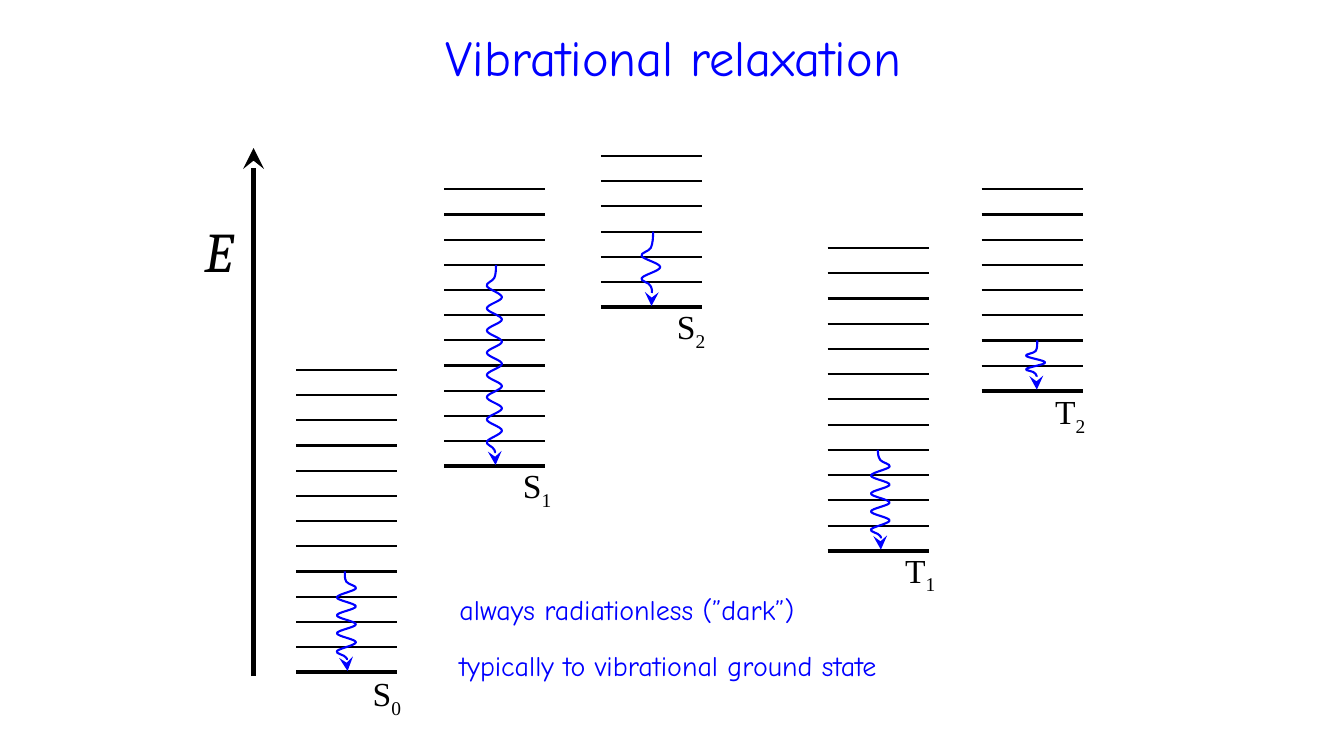
from dataclasses import dataclass

from lxml import etree
from pptx import Presentation
from pptx import util as u
from pptx.dml.color import RGBColor
from pptx.enum import shapes, text
from pptx.oxml.ns import qn


@dataclass(frozen=True)
class Theme:
    ink: RGBColor = RGBColor(0x00, 0x00, 0x00)
    accent: RGBColor = RGBColor(0x00, 0x00, 0xFF)
    sans: str = "Comic Neue"
    serif: str = "Times New Roman"
    symbol: str = "Cambria"
    title: int = 36
    axis: int = 40
    label: int = 24
    note: int = 20
    thick: float = 3
    thin: float = 1.5


@dataclass(frozen=True)
class Wave:
    """Wavy arrow: x positions, then heights of first and last swing."""
    start: float
    left: float
    right: float
    tip: float
    first: float
    last: float
    swings: int


@dataclass(frozen=True)
class State:
    """Ladder of levels, its label and the level where relaxation begins."""
    name: str
    left: float
    bottom: float
    top: float
    gaps: int
    label: tuple
    excited: int
    wave: Wave


STATES = [
    State("S0", 7.47, 16.94, 9.32, 12, (9.14, 16.84), 4,
          Wave(8.69, 8.49, 8.97, 8.76, 14.83, 16.41, 8)),
    State("S1", 11.19, 11.75, 4.77, 11, (12.93, 11.6), 8,
          Wave(12.5, 12.27, 12.65, 12.49, 7.21, 11.13, 15)),
    State("S2", 15.14, 7.74, 3.93, 6, (16.81, 7.59), 3,
          Wave(16.46, 16.17, 16.64, 16.42, 6.45, 7.01, 3)),
    State("T1", 20.86, 13.88, 6.25, 12, (22.56, 13.72), 4,
          Wave(22.12, 21.95, 22.42, 22.2, 11.76, 13.34, 8)),
    State("T2", 24.74, 9.85, 4.77, 8, (26.34, 9.73), 2,
          Wave(26.14, 25.86, 26.34, 26.13, 8.97, 9.3, 3)),
]
LEVEL_WIDTH = 2.54


class Diagram:
    def __init__(self, s, theme):
        self.s = s
        self.theme = theme

    def stroke(self, sp, color, width, arrow=False):
        sp.line.color.rgb = color
        sp.line.width = u.Pt(width)
        if arrow:
            ln = sp._element.spPr.find(qn("a:ln"))
            etree.SubElement(ln, qn("a:tailEnd"), type="stealth", w="lg", len="lg")

    def line(self, x1, y1, x2, y2, width, arrow=False):
        sp = self.s.shapes.add_connector(
            shapes.MSO_CONNECTOR.STRAIGHT, u.Cm(x1), u.Cm(y1), u.Cm(x2), u.Cm(y2))
        self.stroke(sp, self.theme.ink, width, arrow)
        etree.SubElement(sp._element.spPr, qn("a:effectLst"))

    def text(self, words, x, y, w, h, size, font, color,
             wrap=False, italic=False, align=text.PP_ALIGN.LEFT):
        sp = self.s.shapes.add_textbox(u.Cm(x), u.Cm(y), u.Cm(w), u.Cm(h))
        tf = sp.text_frame
        tf.text = words
        tf.word_wrap = wrap
        tf.auto_size = text.MSO_AUTO_SIZE.SHAPE_TO_FIT_TEXT
        p = tf.paragraphs[0]
        p.alignment = align
        self.format(p.runs[0], size, font, color, italic)
        return p

    def format(self, r, size, font, color, italic=False):
        r.font.size = u.Pt(size)
        r.font.name = font
        r.font.color.rgb = color
        r.font.italic = italic

    def state_label(self, name, x, y):
        t = self.theme
        p = self.text(name[0], x, y, 1.28, 1.28, t.label, t.serif, t.ink)
        r = p.add_run()
        r.text = name[1]
        self.format(r, t.label, t.serif, t.ink)
        r._r.get_or_add_rPr().set("baseline", "-25000")

    def ladder(self, state):
        pitch = (state.bottom - state.top) / state.gaps
        for i in range(state.gaps + 1):
            y = state.bottom - i * pitch
            width = self.theme.thin if i else self.theme.thick
            self.line(state.left, y, state.left + LEVEL_WIDTH, y, width)

    def wavy_arrow(self, state):
        w = state.wave
        pitch = (w.last - w.first) / (w.swings - 1)
        middle = (w.left + w.right) / 2
        level = state.bottom - state.excited * (state.bottom - state.top) / state.gaps
        # Turning points; the last swing is always to the left
        turns = [(w.start, level), (middle, w.first - 0.75 * pitch)]
        for i in range(w.swings):
            x = w.left if (w.swings - i) % 2 else w.right
            turns.append((x, w.first + i * pitch))
        turns += [(middle, w.last + 0.75 * pitch), (w.tip, state.bottom - 0.03)]
        points = [(u.Cm(x), u.Cm(y)) for x, y in turns]
        fb = self.s.shapes.build_freeform(*points[0])
        fb.add_line_segments(points[1:], close=False)
        sp = fb.convert_to_shape()
        self.smooth(sp)
        sp.shadow.inherit = False
        sp.fill.background()
        self.stroke(sp, self.theme.accent, self.theme.thin, arrow=True)

    def smooth(self, sp):
        """Turn line segments into curves that enter and leave vertically."""
        nodes = list(sp._element.iter(qn("a:pt")))
        pts = [(int(n.get("x")), int(n.get("y"))) for n in nodes]
        # Slope at each point follows its neighbours
        slopes = [((c[0] - a[0]) / 6, (c[1] - a[1]) / 6)
                  for a, c in zip(pts, pts[2:])]
        slopes.insert(0, (0, (pts[1][1] - pts[0][1]) / 3))
        slopes.append((0, (pts[-1][1] - pts[-2][1]) / 3))
        for i, node in enumerate(nodes[1:]):
            (x1, y1), (x2, y2) = pts[i:i + 2]
            (dx1, dy1), (dx2, dy2) = slopes[i:i + 2]
            segment = node.getparent()
            curve = etree.Element(qn("a:cubicBezTo"))
            for x, y in ((x1 + dx1, y1 + dy1), (x2 - dx2, y2 - dy2), (x2, y2)):
                etree.SubElement(curve, qn("a:pt"), x=str(round(x)), y=str(round(y)))
            segment.getparent().replace(segment, curve)


def main():
    prs = Presentation()
    prs.slide_width, prs.slide_height = u.Cm(33.87), u.Cm(19.05)
    t = Theme()
    d = Diagram(prs.slides.add_slide(prs.slide_layouts[6]), t)

    # Title
    d.text("Vibrational relaxation", 4.93, 0.53, 24.08, 1.8, t.title, t.sans,
           t.accent, wrap=True, align=text.PP_ALIGN.CENTER)

    # Energy axis
    d.line(6.39, 17.04, 6.39, 3.73, t.thick, arrow=True)
    d.text("E", 4.9, 5.33, 1.32, 1.96, t.axis, t.symbol, t.ink, italic=True)

    # States with their relaxation arrows
    for state in STATES:
        d.ladder(state)
        d.state_label(state.name, *state.label)
        d.wavy_arrow(state)

    # Notes
    d.text("always radiationless (”dark”)", 11.33, 14.81, 10.13, 1.12,
           t.note, t.sans, t.accent)
    d.text("typically to vibrational ground state", 11.33, 16.21, 12.4, 1.12,
           t.note, t.sans, t.accent)

    prs.save("out.pptx")


if __name__ == "__main__":
    main()
